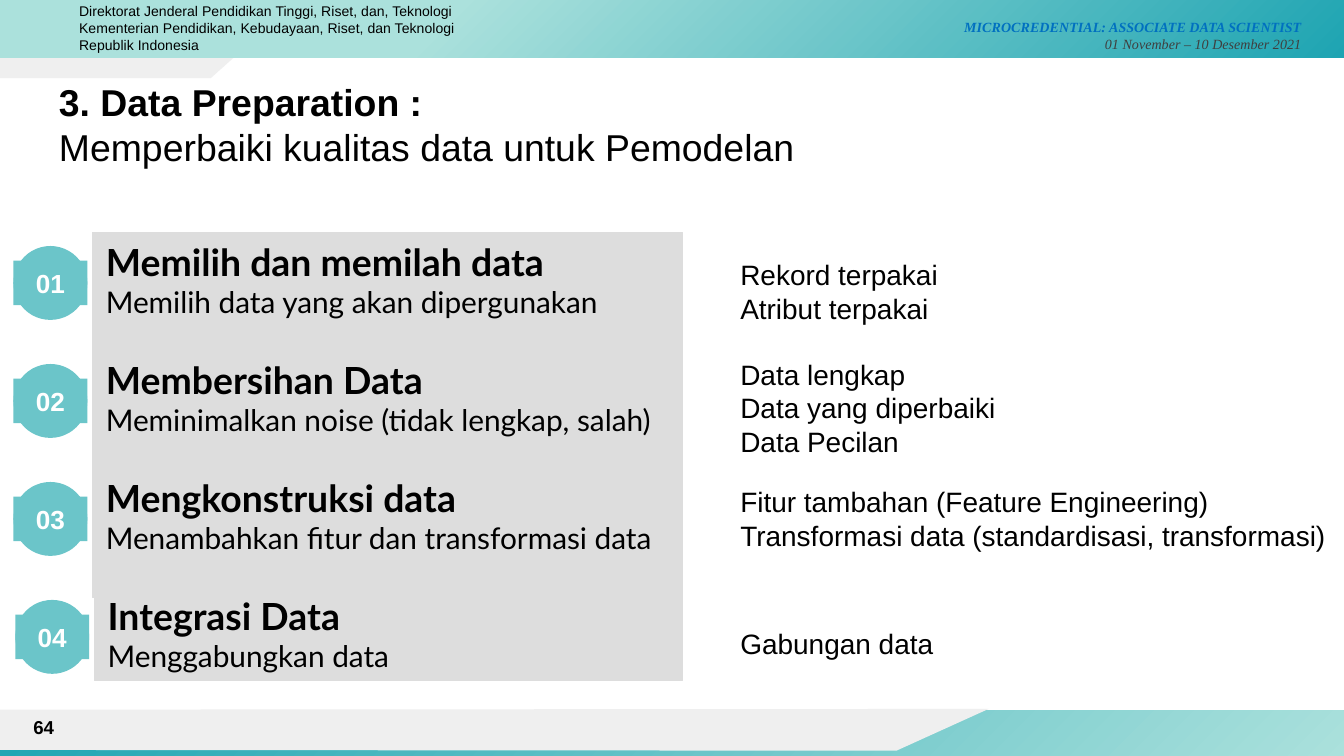
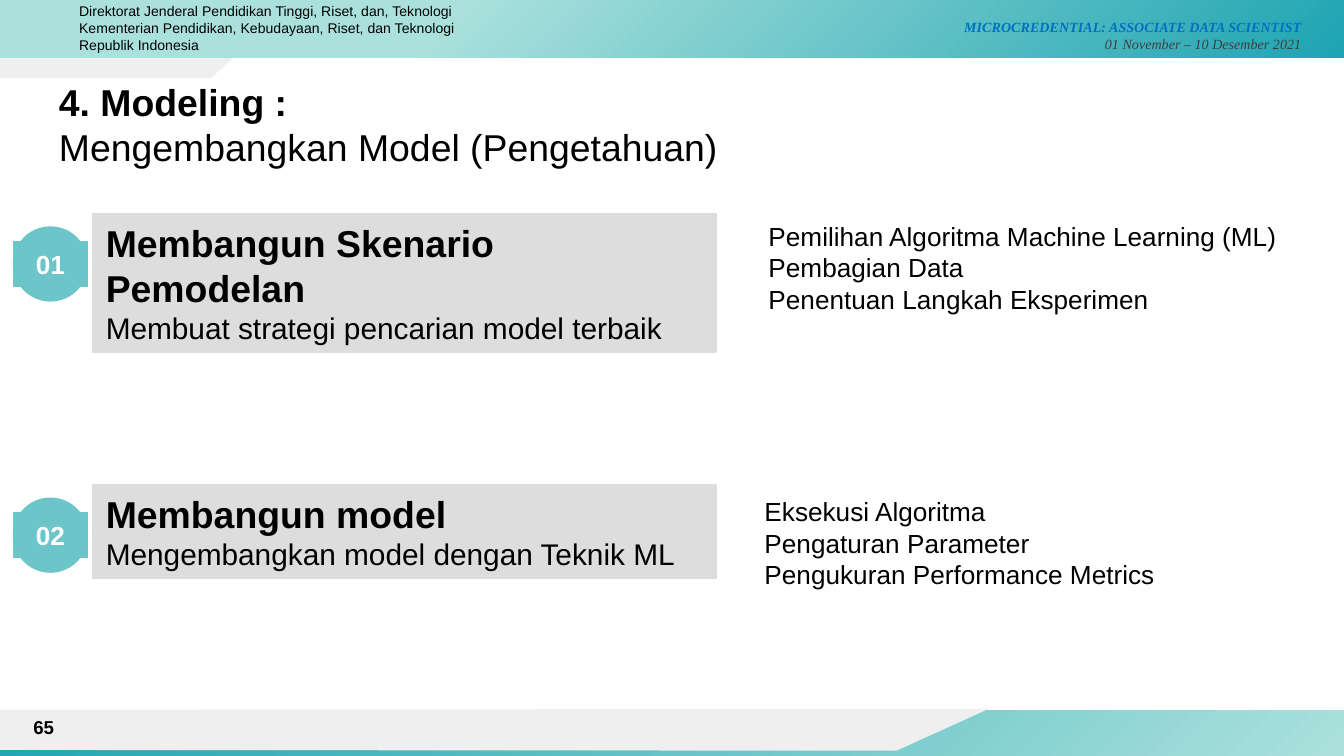
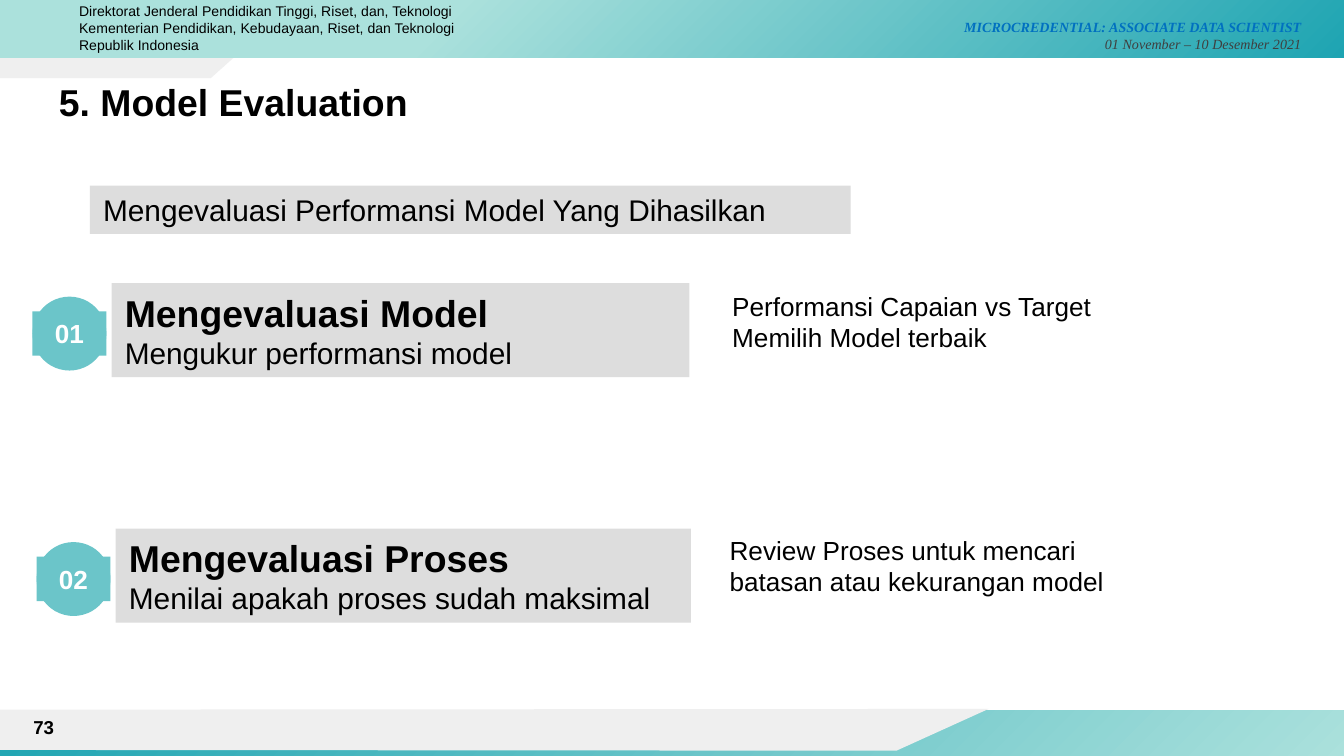
from dataclasses import dataclass
from typing import Optional

from pptx import Presentation
from pptx.dml.color import RGBColor
from pptx.enum.shapes import MSO_SHAPE as Preset
from pptx.enum.text import MSO_ANCHOR as Anchor, PP_ALIGN as Align
from pptx.util import Pt

# Palette and fonts
TEAL = RGBColor(0x1E, 0xA4, 0xB2)
MINT = RGBColor(0xAB, 0xE1, 0xDC)
BADGE = RGBColor(0x6B, 0xC5, 0xC9)
PANEL = RGBColor(0xDD, 0xDD, 0xDD)
PALE = RGBColor(0xEF, 0xEF, 0xEF)
BLUE = RGBColor(0x00, 0x70, 0xC0)
CHARCOAL = RGBColor(0x3F, 0x3F, 0x3F)
BLACK = RGBColor(0, 0, 0)
WHITE = RGBColor(0xFF, 0xFF, 0xFF)
SANS, SERIF, LATO = "Arial", "Times New Roman", "Lato"

# Shared measures, in points
PAGE_WIDTH, PAGE_HEIGHT = 720, 405
BADGE_SIZE, BADGE_BAR = 39.6, 23.8
BADGE_SHIFT, BADGE_DROP = 42.4, 7.2
STEP_TOP, STEP_PITCH = 124.6, 63.2


@dataclass(frozen=True)
class Area:
    left: float
    top: float
    width: float
    height: float

    def lengths(self) -> tuple:
        return Pt(self.left), Pt(self.top), Pt(self.width), Pt(self.height)


@dataclass(frozen=True)
class Topic:
    panel: Area
    heading: str
    detail: str
    results: Area
    outcomes: str


@dataclass(frozen=True)
class Lesson:
    number: int
    title: str
    topics: list[Topic]
    subtitle: str = ""
    banner: str = ""
    panel_font: str = SANS
    result_size: float = 14
    panel_line: bool = True
    badge_line: bool = False


def write(shape, text: str, *, size: float, font: str = SANS,
          color: RGBColor = BLACK, bold: bool = False, italic: bool = False,
          align: Align = Align.LEFT) -> None:
    """Add one paragraph for each line of text."""
    frame = shape.text_frame
    for line in text.split("\n"):
        para = frame.paragraphs[0]
        if para.runs:
            para = frame.add_paragraph()
        para.alignment = align
        span = para.add_run()
        span.text = line
        span.font.name, span.font.size = font, Pt(size)
        span.font.bold, span.font.italic = bold, italic
        span.font.color.rgb = color


def set_frame(shape, inset_top: float = 3.6, anchor: Anchor = Anchor.TOP) -> None:
    frame = shape.text_frame
    frame.word_wrap = True
    frame.vertical_anchor = anchor
    frame.margin_left = frame.margin_right = Pt(7.2)
    frame.margin_top, frame.margin_bottom = Pt(inset_top), Pt(3.6)


def add_box(page, area: Area, inset_top: float = 3.6,
            anchor: Anchor = Anchor.TOP):
    box = page.shapes.add_textbox(*area.lengths())
    set_frame(box, inset_top, anchor)
    return box


def paint(shape, fill: RGBColor, lined: bool = False) -> None:
    shape.shadow.inherit = False
    shape.fill.solid()
    shape.fill.fore_color.rgb = fill
    if lined:
        shape.line.color.rgb = fill
        shape.line.width = Pt(0.75)
    else:
        shape.line.fill.background()


def add_shape(shapes, preset: Preset, area: Area, fill: RGBColor,
              lined: bool = False, anchor: Anchor = Anchor.TOP):
    shape = shapes.add_shape(preset, *area.lengths())
    paint(shape, fill, lined)
    set_frame(shape, anchor=anchor)
    return shape


def add_gradient_band(page, area: Area, start: RGBColor, end: RGBColor,
                      start_at: float = 0) -> None:
    band = add_shape(page.shapes, Preset.RECTANGLE, area, start)
    band.fill.gradient()
    band.fill.gradient_angle = 315
    for stop, color, position in zip(band.fill.gradient_stops,
                                     (start, end), (start_at, 1)):
        stop.color.rgb = color
        stop.position = position


def add_pale_corner(page, points: list[tuple[float, float]]) -> None:
    first, *rest = [(Pt(x), Pt(y)) for x, y in points]
    builder = page.shapes.build_freeform(*first, scale=1.0)
    builder.add_line_segments(rest, close=True)
    paint(builder.convert_to_shape(), PALE)


def add_bands(page) -> None:
    # Footer and header bands
    add_pale_corner(page, [(131.8, 25), (0, 23.8), (0, 41.8), (113, 41.8)])
    add_gradient_band(page, Area(0, 380.9, PAGE_WIDTH, 25.9), TEAL, MINT)
    add_pale_corner(page, [(529.6, 379.8), (0, 380.2), (0, 401.8), (480.2, 402.2)])
    add_gradient_band(page, Area(0, 0, PAGE_WIDTH, 31), MINT, TEAL, 0.33)

    # Course name and ministry
    course = add_box(page, Area(428.4, 3.6, 275.8, 28.1), inset_top=6.5)
    style = dict(size=7.5, font=SERIF, italic=True, align=Align.RIGHT)
    write(course, "MICROCREDENTIAL: ASSOCIATE DATA SCIENTIST",
          color=BLUE, bold=True, **style)
    write(course, "01 November – 10 Desember 2021", color=CHARCOAL, **style)
    ministry = add_box(page, Area(35.3, -2, 239.8, 34.6))
    write(ministry, "Direktorat Jenderal Pendidikan Tinggi, Riset, dan, Teknologi\n"
          "Kementerian Pendidikan, Kebudayaan, Riset, dan Teknologi "
          "Republik Indonesia", size=7.5)


def add_badge(page, left: float, top: float, label: str, lined: bool) -> None:
    shapes = page.shapes.add_group_shape().shapes
    add_shape(shapes, Preset.OVAL, Area(left, top, BADGE_SIZE, BADGE_SIZE),
              BADGE, lined)
    bar_top = top + (BADGE_SIZE - BADGE_BAR) / 2
    bar = add_shape(shapes, Preset.RECTANGLE,
                    Area(left, bar_top, BADGE_SIZE, BADGE_BAR),
                    BADGE, lined, Anchor.MIDDLE)
    write(bar, label, size=14, color=WHITE, bold=True, align=Align.CENTER)


def add_topic(page, lesson: Lesson, index: int, topic: Topic) -> None:
    area = topic.panel
    add_badge(page, area.left - BADGE_SHIFT, area.top + BADGE_DROP,
              f"{index:02}", lesson.badge_line)
    panel = add_shape(page.shapes, Preset.RECTANGLE, area, PANEL,
                      lesson.panel_line)
    write(panel, topic.heading, size=20, font=lesson.panel_font, bold=True)
    write(panel, topic.detail, size=16, font=lesson.panel_font)
    results = add_box(page, topic.results)
    write(results, topic.outcomes, size=lesson.result_size)


def add_lesson(deck, lesson: Lesson) -> None:
    page = deck.slides.add_slide(deck.slide_layouts[6])
    add_bands(page)
    title = add_box(page, Area(24.5, 35.3, 671, 44.6), inset_top=7.2)
    write(title, lesson.title, size=20, bold=True)
    if lesson.subtitle:
        write(title, lesson.subtitle, size=20)
    if lesson.banner:
        banner = add_shape(page.shapes, Preset.RECTANGLE,
                           Area(48.2, 99.4, 407.5, 25.9), PANEL)
        write(banner, lesson.banner, size=16)
    for index, topic in enumerate(lesson.topics, start=1):
        add_topic(page, lesson, index, topic)
    number = add_box(page, Area(0, 378.7, 36, 21.6), anchor=Anchor.MIDDLE)
    write(number, str(lesson.number), size=10, bold=True, align=Align.RIGHT)


def step(row: int, heading: str, detail: str, results_top: float, outcomes: str,
         panel: Optional[Area] = None) -> Topic:
    """Place a data preparation step on the regular row pitch."""
    panel = panel or Area(49.6, STEP_TOP + row * STEP_PITCH, 316.2, 69.1)
    return Topic(panel, heading, detail, Area(389.5, results_top, 342.7, 43.2),
                 outcomes)


LESSONS = [
    Lesson(64, "3. Data Preparation :", [
        step(0, "Memilih dan memilah data", "Memilih data yang akan dipergunakan",
             134.6, "Rekord terpakai\nAtribut terpakai"),
        step(1, "Membersihan Data", "Meminimalkan noise (tidak lengkap, salah)",
             187.9, "Data lengkap\nData yang diperbaiki\nData Pecilan"),
        step(2, "Mengkonstruksi data", "Menambahkan fitur dan transformasi data",
             256.3, "Fitur tambahan (Feature Engineering)\n"
             "Transformasi data (standardisasi, transformasi)"),
        step(3, "Integrasi Data", "Menggabungkan data", 331.9, "Gabungan data",
             Area(50.6, STEP_TOP + 3 * STEP_PITCH, 315.2, 50.4)),
    ], subtitle="Memperbaiki kualitas data untuk Pemodelan",
        panel_font=LATO, result_size=15),
    Lesson(65, "4. Modeling :", [
        Topic(Area(49.6, 114.4, 334.1, 74.2), "Membangun Skenario Pemodelan",
              "Membuat strategi pencarian model terbaik",
              Area(404.6, 114.5, 308.2, 57.6),
              "Pemilihan Algoritma Machine Learning (ML)\nPembagian Data\n"
              "Penentuan Langkah Eksperimen"),
        Topic(Area(49.6, 259.7, 334.1, 50.4), "Membangun model",
              "Mengembangkan model dengan Teknik ML",
              Area(402.5, 262.1, 304.6, 57.6),
              "Eksekusi Algoritma\nPengaturan Parameter\n"
              "Pengukuran Performance Metrics"),
    ], subtitle="Mengembangkan Model (Pengetahuan)", badge_line=True),
    Lesson(73, "5. Model Evaluation", [
        Topic(Area(59.8, 151.7, 309.6, 50.4), "Mengevaluasi Model",
              "Mengukur performansi model", Area(385.2, 151.9, 321.1, 40.3),
              "Performansi Capaian vs Target\nMemilih Model terbaik"),
        Topic(Area(62, 283.2, 308.2, 50.4), "Mengevaluasi Proses",
              "Menilai apakah proses sudah maksimal",
              Area(383.8, 282.5, 321.1, 40.3),
              "Review Proses untuk mencari\nbatasan atau kekurangan model"),
    ], banner="Mengevaluasi Performansi Model Yang Dihasilkan", panel_line=False),
]


def main() -> None:
    deck = Presentation()
    deck.slide_width, deck.slide_height = Pt(PAGE_WIDTH), Pt(PAGE_HEIGHT)
    for lesson in LESSONS:
        add_lesson(deck, lesson)
    deck.save("out.pptx")


if __name__ == "__main__":
    main()
